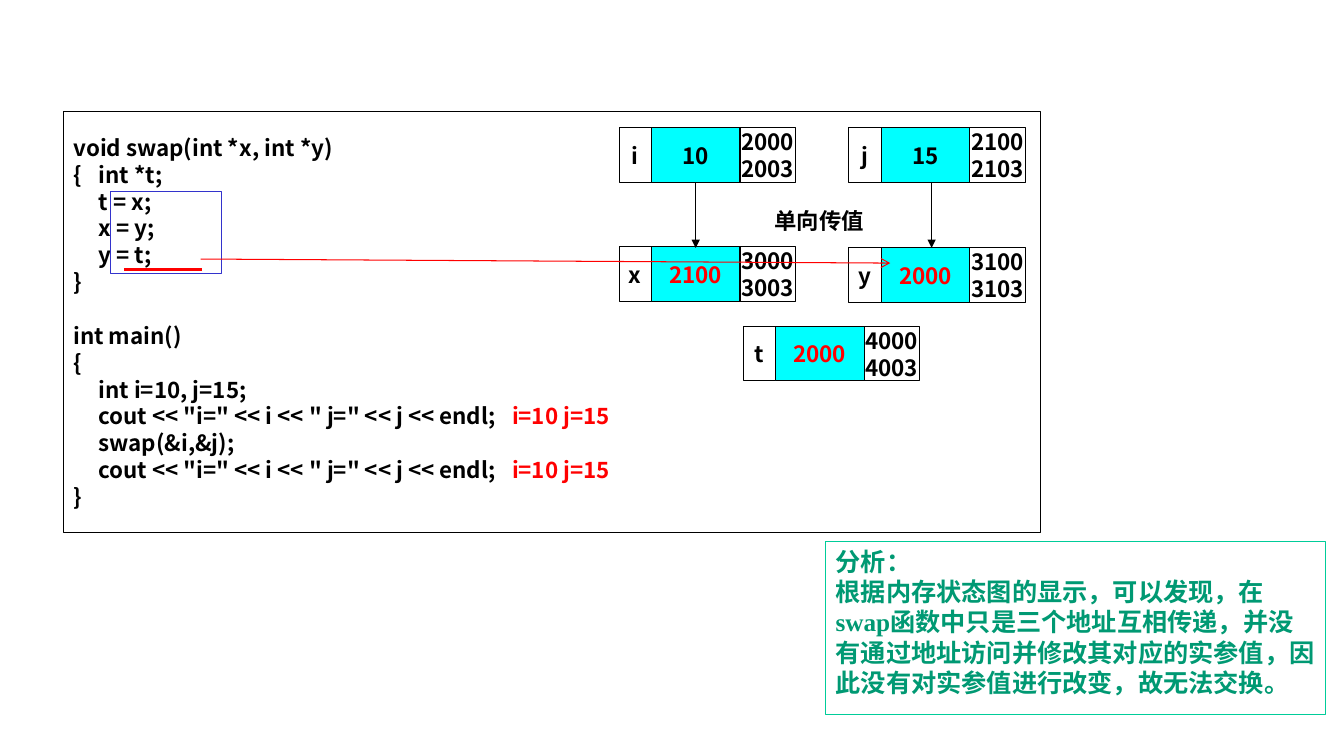
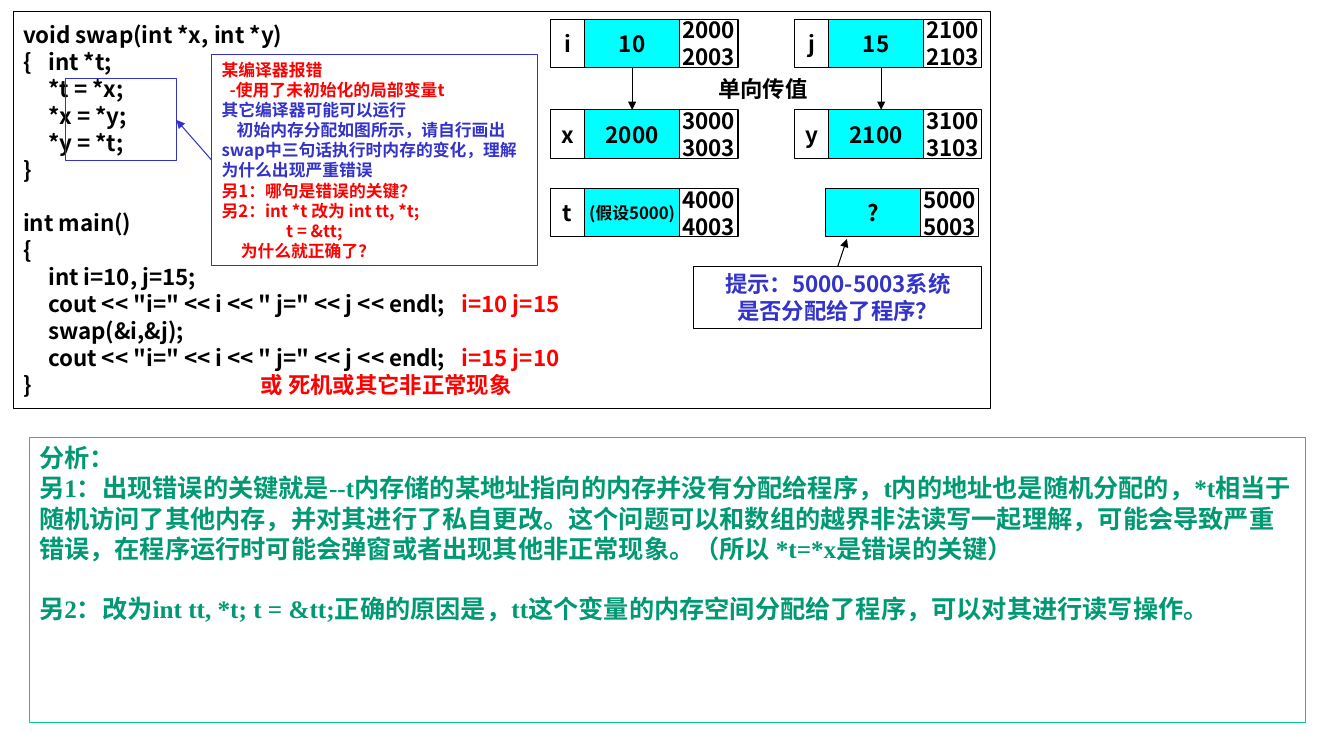
import pptx
import pptx.dml.color
import pptx.enum.shapes
import pptx.enum.text
import pptx.oxml.ns
import pptx.util
from lxml import etree

Inches = pptx.util.Inches
Pt = pptx.util.Pt
RGB = pptx.dml.color.RGBColor.from_string
qn = pptx.oxml.ns.qn
ALIGN = pptx.enum.text.PP_ALIGN
ANCHOR = pptx.enum.text.MSO_ANCHOR

BLACK, RED, BLUE = "000000", "FF0000", "3333CC"
CYAN, TEAL, GREEN = "00FFFF", "00CC99", "009973"
SANS, SERIF = "Noto Sans CJK SC", "Times New Roman"
CODE_STOPS = (0.25, 2.36, 4.35)


def box(slide, at, paragraphs=(), *, fill=None, line=BLACK, size=16, color=BLACK,
        font=SANS, centered=False, top=False, stops=(), indents=None, gap_before=None):
    """Draw a rectangle with text.

    A paragraph is a string or a list of (text, colour) runs. indents maps a
    paragraph's index to its first-line indent; gap_before is the index of a
    paragraph that stands one line lower.
    """
    shape = slide.shapes.add_shape(
        pptx.enum.shapes.MSO_SHAPE.RECTANGLE, *[Inches(length) for length in at])
    shape.shadow.inherit = False
    if fill:
        shape.fill.solid()
        shape.fill.fore_color.rgb = RGB(fill)
    else:
        shape.fill.background()
    if line:
        shape.line.color.rgb = RGB(line)
        shape.line.width = Pt(0.75)
    else:
        shape.line.fill.background()
    frame = shape.text_frame
    frame.word_wrap = not centered
    frame.vertical_anchor = ANCHOR.TOP if top else ANCHOR.MIDDLE
    if centered:
        frame.margin_left = frame.margin_right = 0
        frame.margin_top = frame.margin_bottom = 0
    for index, content in enumerate(paragraphs):
        paragraph = frame.add_paragraph() if index else frame.paragraphs[0]
        paragraph.alignment = ALIGN.CENTER if centered else ALIGN.LEFT
        paragraph.line_spacing = Pt(size * 1.2)
        if index == gap_before:
            paragraph.space_before = Pt(size * 1.2)
        properties = paragraph._p.get_or_add_pPr()
        if indents and index in indents:
            properties.set("marL", "0")
            properties.set("indent", str(Inches(indents[index])))
        if stops:
            tab_list = etree.SubElement(properties, qn("a:tabLst"))
            for stop in stops:
                etree.SubElement(tab_list, qn("a:tab"), pos=str(Inches(stop)), algn="l")
        runs = [(content, color)] if isinstance(content, str) else content
        for text, run_color in runs:
            run = paragraph.add_run()
            run.text = text
            run.font.size = Pt(size)
            run.font.bold = True
            run.font.name = font
            run.font.color.rgb = RGB(run_color)
            etree.SubElement(run.font._element, qn("a:ea"), typeface=SANS)


def connect(slide, start, end, *, color=BLACK, width=0.75, head="triangle"):
    connector = slide.shapes.add_connector(
        pptx.enum.shapes.MSO_CONNECTOR.STRAIGHT,
        *[Inches(length) for length in (*start, *end)])
    connector.line.color.rgb = RGB(color)
    connector.line.width = Pt(width)
    if head:
        etree.SubElement(connector.line._get_or_add_ln(), qn("a:tailEnd"), type=head)
    etree.SubElement(connector._element.spPr, qn("a:effectLst"))


# Memory variables: left, top, name, value, first address, value colour, value size
pages = [
    {
        "panel": (0.63, 1.11, 9.69, 4.17),
        "star": "",
        "swapped": "i=10 j=15",
        "ending": "}",
        "statements": (1.1, 1.9, 1.1, 0.81),
        "widths": (0.32, 0.88, 0.55),
        "height": 0.54,
        "variables": [
            (6.14, 1.27, "i", "10", 2000, BLACK, 16),
            (8.42, 1.27, "j", "15", 2100, BLACK, 16),
            (6.14, 2.45, "x", "2100", 3000, RED, 16),
            (8.42, 2.46, "y", "2000", 3100, RED, 16),
            (7.37, 3.24, "t", "2000", 4000, RED, 16),
        ],
        "passing": (1.81, 2.46, (6.9, 9.24)),
        "passing_label": (7.66, 1.95, 0.93, 0.47),
        "analysis_at": (8.19, 5.37, 4.96, 1.72),
        "analysis": [
            "分析：",
            "根据内存状态图的显示，可以发现，在swap函数中只是三个地址互相传递，"
            "并没有通过地址访问并修改其对应的实参值，因此没有对实参值进行改变，故无法交换。",
        ],
    },
    {
        "panel": (0.13, 0.11, 9.69, 3.94),
        "star": "*",
        "swapped": "i=15 j=10",
        "ending": [("}\t\t", BLACK), ("或 死机或其它非正常现象", RED)],
        "statements": (0.65, 0.78, 1.1, 0.81),
        "widths": (0.34, 0.94, 0.58),
        "height": 0.48,
        "variables": [
            (5.46, 0.19, "i", "10", 2000, BLACK, 16),
            (7.88, 0.19, "j", "15", 2100, BLACK, 16),
            (5.46, 1.09, "x", "2000", 3000, BLACK, 16),
            (7.88, 1.09, "y", "2100", 3100, BLACK, 16),
            (5.46, 1.87, "t", "(假设5000)", 4000, BLACK, 12),
            (7.85, 1.87, None, "?", 5000, BLACK, 16),
        ],
        "passing": (0.67, 1.09, (6.27, 8.74)),
        "passing_label": (7.07, 0.67, 0.99, 0.42),
        "analysis_at": (0.29, 4.34, 12.66, 2.83),
        "analysis": [
            "分析：",
            "另1：出现错误的关键就是--t内存储的某地址指向的内存并没有分配给程序，"
            "t内的地址也是随机分配的，*t相当于随机访问了其他内存，并对其进行了私自更改。"
            "这个问题可以和数组的越界非法读写一起理解，可能会导致严重错误，"
            "在程序运行时可能会弹窗或者出现其他非正常现象。（所以 *t=*x是错误的关键）",
            "另2：改为int tt, *t; t = &tt;正确的原因是，"
            "tt这个变量的内存空间分配给了程序，可以对其进行读写操作。",
        ],
    },
]

presentation = pptx.Presentation()
presentation.slide_width = Inches(13.33)
presentation.slide_height = Inches(7.5)
slides = []

for page in pages:
    slide = presentation.slides.add_slide(presentation.slide_layouts[6])
    slides.append(slide)

    star = page["star"]
    output = '\tcout << "i=" << i << " j=" << j << endl;\t'
    box(slide, page["panel"], [
        "void swap(int *x, int *y)",
        "{\tint *t;",
        f"\t{star}t = {star}x;",
        f"\t{star}x = {star}y;",
        f"\t{star}y = {star}t;",
        "}",
        "int main()",
        "{",
        "\tint i=10, j=15;",
        [(output, BLACK), ("i=10 j=15", RED)],
        "\tswap(&i,&j);",
        [(output, BLACK), (page["swapped"], RED)],
        page["ending"],
    ], stops=CODE_STOPS, gap_before=6)
    box(slide, page["statements"], line=BLUE)

    name_width, value_width, address_width = page["widths"]
    height = page["height"]
    for left, top, name, value, address, color, size in page["variables"]:
        value_left = left + name_width
        if name:
            box(slide, (left, top, name_width, height), [name], centered=True)
        box(slide, (value_left, top, value_width, height), [value],
            fill=CYAN, color=color, size=size, centered=True)
        box(slide, (value_left + value_width, top, address_width, height),
            [str(address), str(address + 3)], centered=True)

    passing_top, passing_bottom, passing_columns = page["passing"]
    for x in passing_columns:
        connect(slide, (x, passing_top), (x, passing_bottom))
    box(slide, page["passing_label"], ["单向传值"], line=None, centered=True)

    box(slide, page["analysis_at"], page["analysis"], line=TEAL, size=18,
        color=GREEN, font=SERIF, top=True, gap_before=2)

address_swap, value_swap = slides

# Last assignment and the variable it changes
connect(address_swap, (1.23, 2.67), (2, 2.67), color=RED, width=2.25, head=None)
connect(address_swap, (1.99, 2.57), (8.83, 2.61), color=RED, head="arrow")

# Compiler remarks and the hint about unallocated memory
box(value_swap, (2.1, 0.54, 3.23, 2.09), [
    [("某编译器报错", RED)],
    [("-使用了未初始化的局部变量t", RED)],
    "其它编译器可能可以运行",
    "初始内存分配如图所示，请自行画出swap中三句话执行时内存的变化，理解为什么出现严重错误",
    [("另1：哪句是错误的关键？", RED)],
    [("另2：int *t 改为 int tt, *t;", RED)],
    [("t = &tt;", RED)],
    [("为什么就正确了？", RED)],
], line=BLUE, color=BLUE, size=12, top=True,
    indents={1: 0.08, 3: 0.15, 6: 0.64, 7: 0.19})
connect(value_swap, (2.1, 1.59), (1.75, 1.19), color=BLUE)
box(value_swap, (6.88, 2.64, 2.86, 0.62),
    ["提示：5000-5003系统", "是否分配给了程序？"], color=BLUE, centered=True)
connect(value_swap, (8.31, 2.64), (8.4, 2.37))

presentation.save("out.pptx")
